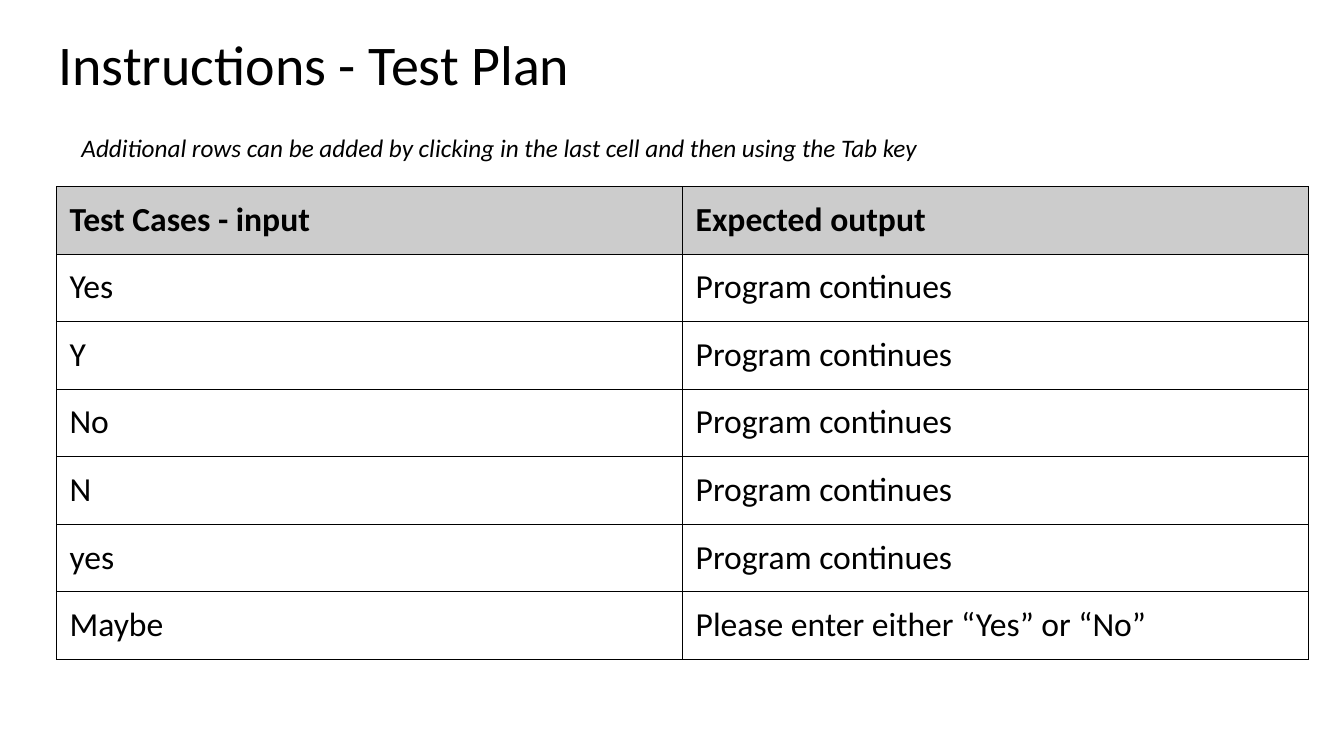
from dataclasses import dataclass

from lxml import etree
from pptx import Presentation
from pptx.dml.color import RGBColor
from pptx.enum.text import MSO_ANCHOR, MSO_AUTO_SIZE, PP_ALIGN
from pptx.oxml.ns import qn
from pptx.util import Emu, Pt

TOP = MSO_ANCHOR.TOP
LEFT = PP_ALIGN.LEFT
NO_FIT = MSO_AUTO_SIZE.NONE
GROW = MSO_AUTO_SIZE.SHAPE_TO_FIT_TEXT

PX_PER_INCH = 100
SCALE = 914400 // PX_PER_INCH
BLACK = "000000"
HEADER_GREY = "CCCCCC"
INSET = 13
ROW_HEIGHT = 67
BORDER_WIDTH = Pt(0.75)
CONTINUES = "Program continues"


@dataclass(frozen=True)
class Box:
    left: int
    top: int
    width: int
    height: int

    def emu(self) -> tuple[Emu, ...]:
        return tuple(px(n) for n in (self.left, self.top, self.width, self.height))


@dataclass(frozen=True)
class TestCase:
    entry: str
    expected: str


TITLE_BOX = Box(45, 24, 1242, 84)
HINT_BOX = Box(71, 126, 1094, 40)
HEADINGS = TestCase("Test Cases - input", "Expected output")
TEST_CASES = [
    *(TestCase(entry, CONTINUES) for entry in ("Yes", "Y", "No", "N", "yes")),
    TestCase("Maybe", "Please enter either “Yes” or “No”"),
]
PLAN_BOX = Box(56, 185, 1242, ROW_HEIGHT * (len(TEST_CASES) + 1))


def px(length: int) -> Emu:
    return Emu(length * SCALE)


def color(value: str) -> RGBColor:
    return RGBColor.from_string(value)


def apply(target, values: dict) -> None:
    for name, value in values.items():
        setattr(target, name, value)


def inset(target) -> None:
    sides = ("margin_left", "margin_right", "margin_top", "margin_bottom")
    apply(target, dict.fromkeys(sides, px(INSET)))


def write(frame, wording: str, size: int, bold: bool = False, italic: bool = False) -> None:
    frame.text = wording
    paragraph = frame.paragraphs[0]
    paragraph.alignment = LEFT
    font = paragraph.runs[0].font
    apply(font, {"name": "Calibri", "size": Pt(size), "bold": bold, "italic": italic})
    font.color.rgb = color(BLACK)


def add_borders(cell) -> None:
    properties = cell._tc.get_or_add_tcPr()
    for side in ("a:lnL", "a:lnR", "a:lnT", "a:lnB"):
        line = etree.SubElement(properties, qn(side), w=str(BORDER_WIDTH))
        fill = etree.SubElement(line, qn("a:solidFill"))
        etree.SubElement(fill, qn("a:srgbClr"), val=BLACK)


def add_title(slide) -> None:
    title = slide.shapes.title
    apply(title, dict(zip(("left", "top", "width", "height"), TITLE_BOX.emu())))
    frame = title.text_frame
    apply(frame, {"word_wrap": True, "auto_size": NO_FIT, "vertical_anchor": TOP})
    inset(frame)
    write(frame, "Instructions - Test Plan", 40)
    frame.paragraphs[0].line_spacing = 0.9


def add_test_plan(slide) -> None:
    rows = [HEADINGS, *TEST_CASES]
    plan = slide.shapes.add_table(len(rows), 2, *PLAN_BOX.emu()).table
    apply(plan, {"first_row": False, "horz_banding": False})
    for row_index, case in enumerate(rows):
        is_header = case is HEADINGS
        for column_index, wording in enumerate((case.entry, case.expected)):
            cell = plan.cell(row_index, column_index)
            inset(cell)
            cell.vertical_anchor = TOP
            write(cell.text_frame, wording, 24, bold=is_header)
            add_borders(cell)
            if is_header:
                cell.fill.solid()
                cell.fill.fore_color.rgb = color(HEADER_GREY)
            else:
                cell.fill.background()


def add_hint(slide) -> None:
    frame = slide.shapes.add_textbox(*HINT_BOX.emu()).text_frame
    apply(frame, {"word_wrap": True, "auto_size": GROW})
    hint = "Additional rows can be added by clicking in the last cell and then using the Tab key"
    write(frame, hint, 18, italic=True)


def main() -> None:
    deck = Presentation()
    apply(deck, {"slide_width": px(1333), "slide_height": px(750)})
    slide = deck.slides.add_slide(deck.slide_layouts.get_by_name("Title Only"))
    add_title(slide)
    add_test_plan(slide)
    add_hint(slide)
    deck.save("out.pptx")


if __name__ == "__main__":
    main()
